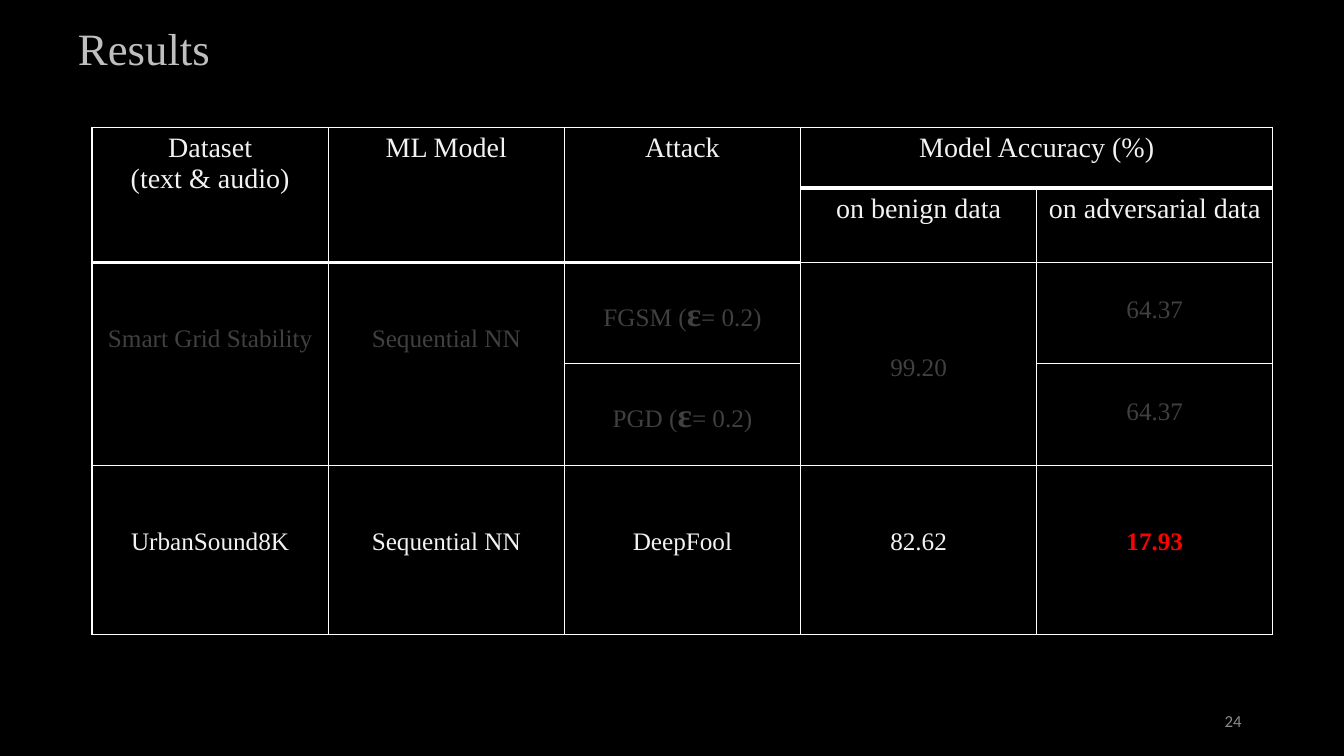
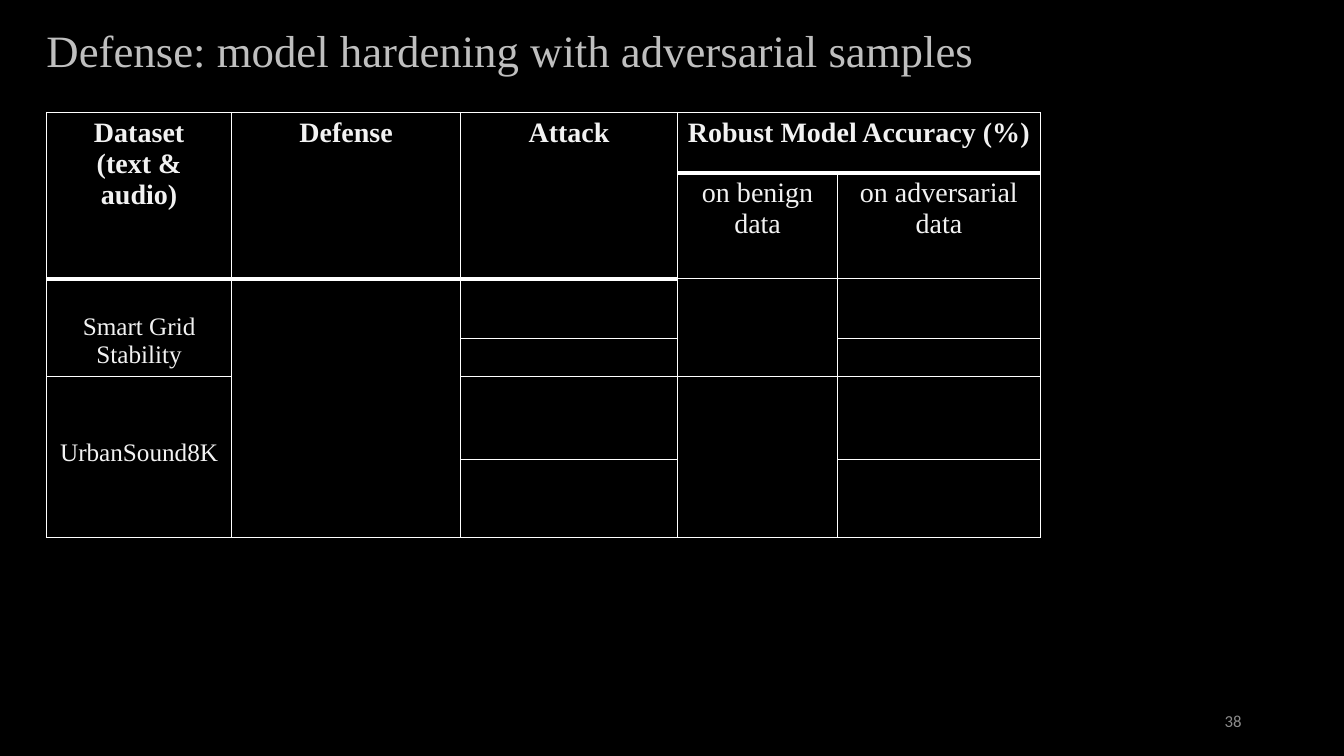
from lxml.etree import SubElement
from pptx import Presentation
from pptx.dml.color import RGBColor
from pptx.enum.text import MSO_ANCHOR, MSO_AUTO_SIZE, PP_ALIGN
from pptx.oxml.ns import qn
from pptx.util import Pt

COLORS = {
    "black": "000000",
    "white": "FFFFFF",
    "title": "BFBFBF",
    "text": "F2F2F2",
    "dimmed": "404040",
    "alert": "FF0000",
    "number": "8C8C8C",
}
SERIF = "Times New Roman"
INSET = 3.6
BODY_SIZE = 18
BODY_LINE = 20.7
HEADER_ROWS = 2
HEADER_MERGES = [(0, 0, 1, 0), (0, 1, 1, 1), (0, 2, 1, 2), (0, 3, 0, 4)]


def write(tf, text, size=BODY_SIZE, color="text", font=SERIF, bold=False,
          align=PP_ALIGN.CENTER, spacing=None):
    """Fill a text frame, one paragraph a line, with each epsilon large and bold."""
    for i, line in enumerate(text.split("\n")):
        p = tf.paragraphs[0] if i == 0 else tf.add_paragraph()
        p.alignment = align
        if spacing:
            p.line_spacing = spacing
        for part in line.partition("ɛ"):
            if not part:
                continue
            r = p.add_run()
            r.text = part
            r.font.name = font
            r.font.size = Pt(24 if part == "ɛ" else size)
            r.font.bold = bold or part == "ɛ"
            r.font.color.rgb = RGBColor.from_string(COLORS[color])


def rule_width(row, col):
    """Return the width of the rule above a row, thick below the header names."""
    return 3 if row == (HEADER_ROWS if col < 3 else 1) else 1


def style_cell(cell, row, col):
    """Give a cell its borders, black fill and tight vertical margins."""
    height = cell.span_height if cell.is_merge_origin else 1
    tcPr = cell._tc.get_or_add_tcPr()
    widths = {"a:lnL": 1, "a:lnR": 1, "a:lnT": rule_width(row, col),
              "a:lnB": rule_width(row + height, col)}
    for tag, width in widths.items():
        ln = SubElement(tcPr, qn(tag), w=str(Pt(width)))
        fill = SubElement(ln, qn("a:solidFill"))
        SubElement(fill, qn("a:srgbClr"), val=COLORS["white"])
    cell.fill.solid()
    cell.fill.fore_color.rgb = RGBColor.from_string(COLORS["black"])
    cell.margin_top = cell.margin_bottom = 0


def add_results_table(s, left, top, cols, rows, headers, merges, body, bold=False):
    """Draw a table with a two-level header and body texts keyed by row and column."""
    sp = s.shapes.add_table(len(rows), len(cols), Pt(left), Pt(top),
                            Pt(sum(cols)), Pt(sum(rows)))
    table = sp.table
    table.first_row = table.horz_banding = False
    for column, width in zip(table.columns, cols):
        column.width = Pt(width)
    for line, height in zip(table.rows, rows):
        line.height = Pt(height)
    for r1, c1, r2, c2 in HEADER_MERGES + merges:
        table.cell(r1, c1).merge(table.cell(r2, c2))
    for row in range(len(rows)):
        for col in range(len(cols)):
            style_cell(table.cell(row, col), row, col)
    places = [(0, 0), (0, 1), (0, 2), (0, 3), (1, 3), (1, 4)]
    for (row, col), text in zip(places, headers):
        cell = table.cell(row, col)
        cell.margin_top = Pt(INSET)
        write(cell.text_frame, text, size=20, bold=bold and row == 0)
    for (row, col), (text, drop, fmt) in body.items():
        cell = table.cell(row, col)
        cell.margin_top = Pt(INSET + drop * BODY_LINE)
        write(cell.text_frame, text, **fmt)


def add_titled_slide(prs, title, left, top, number):
    """Add a title-only slide with its title and page number."""
    s = prs.slides.add_slide(prs.slide_layouts[5])
    sp = s.shapes.title
    sp.left, sp.top, sp.width, sp.height = Pt(left), Pt(top), Pt(792), Pt(34.5)
    tf = sp.text_frame
    tf.auto_size = MSO_AUTO_SIZE.NONE
    tf.vertical_anchor = MSO_ANCHOR.BOTTOM
    write(tf, title, size=32, color="title", align=PP_ALIGN.LEFT, spacing=0.9)
    tf = s.shapes.add_textbox(Pt(678), Pt(500.5), Pt(216), Pt(28.75)).text_frame
    tf.word_wrap = True
    tf.vertical_anchor = MSO_ANCHOR.MIDDLE
    write(tf, number, size=12, color="number", font="Calibri", align=PP_ALIGN.RIGHT)
    return s


def add_attack_slide(prs):
    """Add the slide with the accuracy under each attack."""
    s = add_titled_slide(prs, "Results", 48.5, 22.5, "24")
    dim = {"color": "dimmed"}
    body = {
        (2, 0): ("Smart Grid Stability", 2, dim),
        (2, 1): ("Sequential NN", 2, dim),
        (2, 2): ("FGSM (ɛ= 0.2)", 1, dim),
        (2, 3): ("99.20", 3, dim),
        (2, 4): ("64.37", 1, dim),
        (3, 2): ("PGD (ɛ= 0.2)", 1, dim),
        (3, 4): ("64.37", 1, dim),
    }
    for col, text in enumerate(["UrbanSound8K", "Sequential NN", "DeepFool", "82.62"]):
        body[4, col] = (text, 2, {})
    body[4, 4] = ("17.93", 2, {"color": "alert", "bold": True})
    add_results_table(
        s, 65.75, 91.25, [168.7] * 5, [43.2, 53, 72.5, 72.5, 121],
        ["Dataset\n(text & audio)", "ML Model", "Attack", "Model Accuracy (%)",
         "on benign data", "on adversarial data"],
        [(2, col, 3, col) for col in (0, 1, 3)], body)


def add_defense_slide(prs):
    """Add the slide with the still empty table of the hardened models."""
    s = add_titled_slide(
        prs, "Defense: model hardening with adversarial samples", 26, 24, "38")
    body = {
        (2, 0): ("Smart Grid Stability", 1, {}),
        (4, 0): ("UrbanSound8K", 2, {}),
    }
    add_results_table(
        s, 33.25, 80.25, [132.3, 163.5, 155, 114.3, 144.7],
        [43.2, 73.2, 42.5, 27.2, 59.5, 55.5],
        ["Dataset\n(text & audio)", "Defense", "Attack", "Robust Model Accuracy (%)",
         "on benign data", "on adversarial data"],
        [(2, 0, 3, 0), (2, 1, 5, 1), (2, 3, 3, 3), (4, 0, 5, 0), (4, 3, 5, 3)],
        body, bold=True)


def main():
    """Build and save the presentation."""
    prs = Presentation()
    prs.slide_width, prs.slide_height = Pt(960), Pt(540)
    fill = prs.slide_master.background.fill
    fill.solid()
    fill.fore_color.rgb = RGBColor.from_string(COLORS["black"])
    add_attack_slide(prs)
    add_defense_slide(prs)
    prs.save("out.pptx")


if __name__ == "__main__":
    main()
